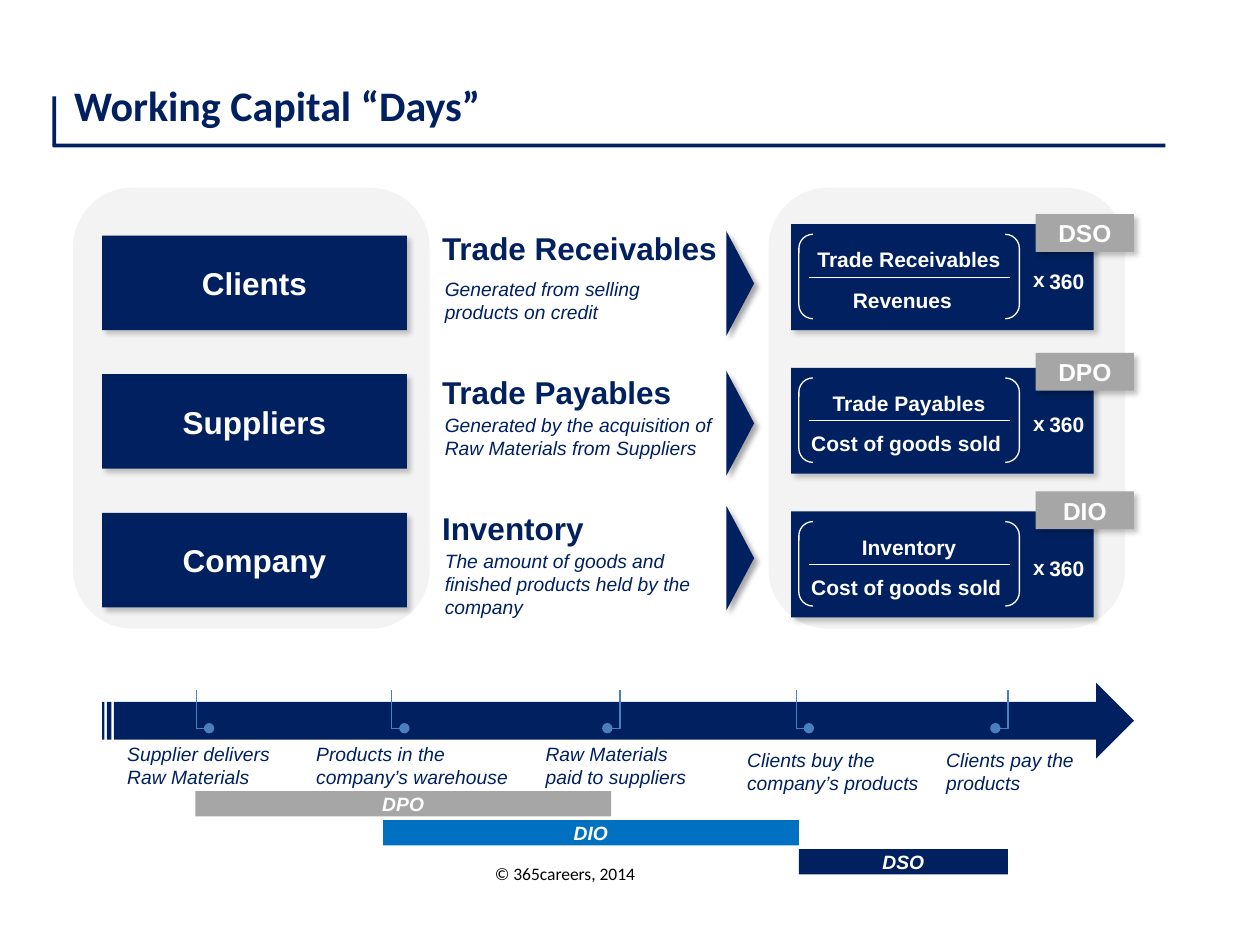
from lxml import etree
from pptx import Presentation
from pptx.dml.color import RGBColor
from pptx.enum.shapes import MSO_CONNECTOR, MSO_SHAPE
from pptx.enum.text import MSO_ANCHOR, PP_ALIGN
from pptx.oxml.ns import qn
from pptx.util import Inches, Pt

RECTANGLE = MSO_SHAPE.RECTANGLE
ROUNDED = MSO_SHAPE.ROUNDED_RECTANGLE
TRIANGLE = MSO_SHAPE.ISOSCELES_TRIANGLE
BRACKETS = MSO_SHAPE.DOUBLE_BRACKET
STRIPED_ARROW = MSO_SHAPE.STRIPED_RIGHT_ARROW
STRAIGHT, ELBOW = MSO_CONNECTOR.STRAIGHT, MSO_CONNECTOR.ELBOW
LEFT, CENTER = PP_ALIGN.LEFT, PP_ALIGN.CENTER
TOP, MIDDLE = MSO_ANCHOR.TOP, MSO_ANCHOR.MIDDLE
color = RGBColor.from_string
NAVY, WHITE, GREY, BLUE, PALE, STEEL = (
    "002060", "FFFFFF", "A6A6A6", "0070C0", "F2F2F2", "4B7EBC")

presentation = Presentation()
presentation.slide_width, presentation.slide_height = Inches(10), Inches(7.5)
slide = presentation.slides.add_slide(presentation.slide_layouts[6])


def add_block(kind, box, fill=None, shadow=0, rotation=0):
    """Add a preset shape without outline; shadow is its opacity in percent."""
    shape = slide.shapes.add_shape(kind, *map(Inches, box))
    shape.rotation = rotation
    shape.shadow.inherit = False
    shape.line.fill.background()
    if fill:
        shape.fill.solid()
        shape.fill.fore_color.rgb = color(fill)
    else:
        shape.fill.background()
    if shadow:
        effects = shape._element.spPr.find(qn("a:effectLst"))
        outer = etree.SubElement(effects, qn("a:outerShdw"), blurRad=str(Pt(3)),
                                 dist=str(Pt(3)), dir="2700000", rotWithShape="0")
        black = etree.SubElement(outer, qn("a:srgbClr"), val="000000")
        etree.SubElement(black, qn("a:alpha"), val=str(shadow * 1000))
    return shape


def write(target, text, size, ink=WHITE, bold=True, italic=False,
          align=LEFT, anchor=TOP, inset=True, font="Arial"):
    """Write one run into a shape, or into a new text box at the given place."""
    if isinstance(target, tuple):
        target = slide.shapes.add_textbox(*map(Inches, target))
    frame = target.text_frame
    frame.word_wrap = True
    frame.vertical_anchor = anchor
    if not inset:
        frame.margin_left = frame.margin_right = 0
        frame.margin_top = frame.margin_bottom = 0
    paragraph = frame.paragraphs[0]
    paragraph.alignment = align
    run = paragraph.add_run()
    run.text = text
    run.font.name, run.font.size = font, Pt(size)
    run.font.bold, run.font.italic = bold, italic
    run.font.color.rgb = color(ink)


# Title and background panels
write((0.49, 0.58, 7.33, 0.5), "Working Capital “Days”", 24, NAVY, font="Calibri")
add_block(RECTANGLE, (0.42, 1.14, 8.83, 0.03), NAVY)
add_block(RECTANGLE, (0.23, 0.95, 0.4, 0.03), NAVY, rotation=90)
for panel_left in (0.58, 6.1):
    panel = add_block(ROUNDED, (panel_left, 1.49, 2.83, 3.5), PALE)
    panel_color = panel._element.spPr.find(qn("a:solidFill"))[0]
    etree.SubElement(panel_color, qn("a:alpha"), val="85000")

# One row per party: card, explanation, arrowhead, formula and its tag
rows = [
    ("Clients", "Trade Receivables", "Generated from selling products on credit",
     "Revenues", 6.67, "DSO", 1.77, 2.14),
    ("Suppliers", "Trade Payables",
     "Generated by the acquisition of Raw Materials from Suppliers",
     "Cost of goods sold", 6.34, "DPO", 2.91, 3.25),
    ("Company", "Inventory",
     "The amount of goods and finished products held by the company",
     "Cost of goods sold", 6.34, "DIO", 3.99, 4.32),
]
for index, (party, item, detail, divisor, divisor_left, days,
            heading_top, arrow_top) in enumerate(rows):
    card = add_block(RECTANGLE, (0.81, 1.87 + 1.1 * index, 2.42, 0.75), NAVY, 22)
    write(card, party, 18, align=CENTER, anchor=MIDDLE)
    write((3.41, heading_top, 2.42, 0.4), item, 18, NAVY)
    write((3.53, 2.2 + 1.08 * index, 2.15, 0.37), detail, 11, NAVY,
          bold=False, italic=True, inset=False)
    add_block(TRIANGLE, (5.46, arrow_top, 0.83, 0.22), NAVY, 35, rotation=90)

    top = 1.78 + 1.14 * index
    add_block(RECTANGLE, (6.28, top, 2.4, 0.84), NAVY, 22)
    write((6.13, top + 0.13, 2.17, 0.3), item, 12, align=CENTER)
    fraction_bar = slide.shapes.add_connector(
        STRAIGHT, *map(Inches, (6.42, top + 0.42, 8.02, top + 0.42)))
    fraction_bar.line.color.rgb = color(WHITE)
    fraction_bar.line.width = Pt(0.75)
    etree.SubElement(fraction_bar._element.spPr, qn("a:effectLst"))
    write((divisor_left, top + 0.45, 2.17, 0.3), divisor, 12)
    brackets = add_block(BRACKETS, (6.34, top + 0.08, 1.75, 0.67))
    brackets.line.color.rgb = color(WHITE)
    brackets.line.width = Pt(0.75)
    write((8.1, top + 0.29, 0.49, 0.3), "x", 12)
    write((8.23, top + 0.3, 0.77, 0.3), "360", 12)
    tag = add_block(RECTANGLE, (8.22, 1.7 + 1.1 * index, 0.78, 0.3), GREY, 23)
    write(tag, days, 14, align=CENTER, anchor=MIDDLE)

# Timeline: each marker drops from the stem and ends in a dot beside it
add_block(STRIPED_ARROW, (0.81, 5.42, 8.19, 0.6), NAVY)
events = [
    ("Supplier delivers Raw Materials", 1.01, 5.89, 1.21, 1.56, "right"),
    ("Products in the company’s warehouse", 2.51, 5.89, 1.65, 3.11, "right"),
    ("Raw Materials paid to suppliers", 4.33, 5.89, 1.21, 4.92, "left"),
    ("Clients buy the company’s products", 5.93, 5.94, 1.57, 6.32, "right"),
    ("Clients pay the products", 7.51, 5.94, 1.57, 8, "left"),
]
for caption, left, top, width, stem, dot_side in events:
    write((left, top, width, 0.37), caption, 11, NAVY,
          bold=False, italic=True, inset=False)
    if dot_side == "right":
        ends, turn, dot_end = (stem + 0.2, 5.58, stem - 0.1, 5.68), 270, "a:tailEnd"
    else:
        ends, turn, dot_end = (stem - 0.1, 5.78, stem, 5.48), 0, "a:headEnd"
    marker = slide.shapes.add_connector(ELBOW, *map(Inches, ends))
    marker.line.color.rgb = color(STEEL)
    marker.line.width = Pt(0.75)
    properties = marker._element.spPr
    properties.find(qn("a:prstGeom")).set("prst", "bentConnector2")
    properties.find(qn("a:xfrm")).set("rot", str(turn * 60000))
    etree.SubElement(properties.find(qn("a:ln")), qn(dot_end), type="oval")
    etree.SubElement(properties, qn("a:effectLst"))

# Periods between the events
periods = [("DPO", 1.55, 3.3, GREY), ("DIO", 3.04, 3.3, BLUE), ("DSO", 6.34, 1.66, NAVY)]
for index, (days, left, width, fill) in enumerate(periods):
    bar = add_block(RECTANGLE, (left, 6.28 + 0.23 * index, width, 0.2), fill)
    write(bar, days, 11, italic=True, align=CENTER, anchor=MIDDLE)

write((3.83, 6.8, 2.33, 0.27), "© 365careers, 2014", 10, "000000",
      bold=False, font="Calibri")

presentation.save("out.pptx")
